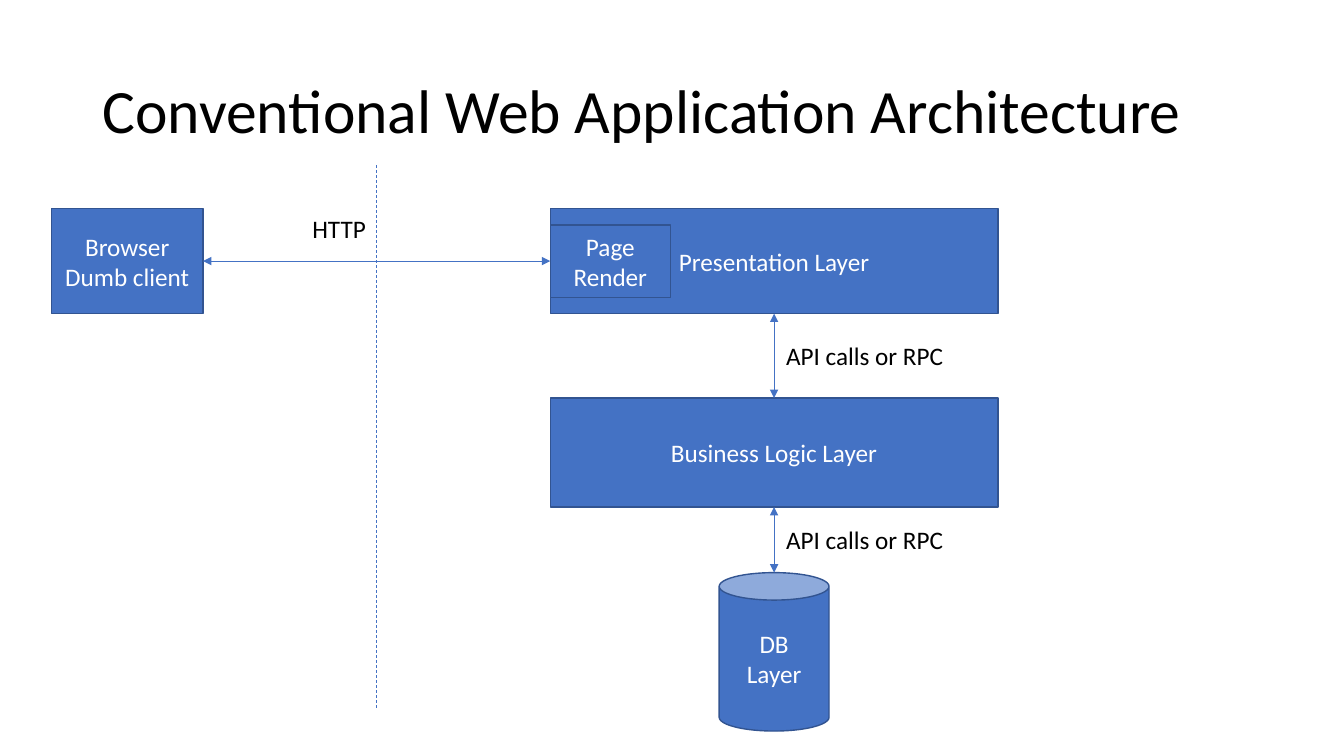
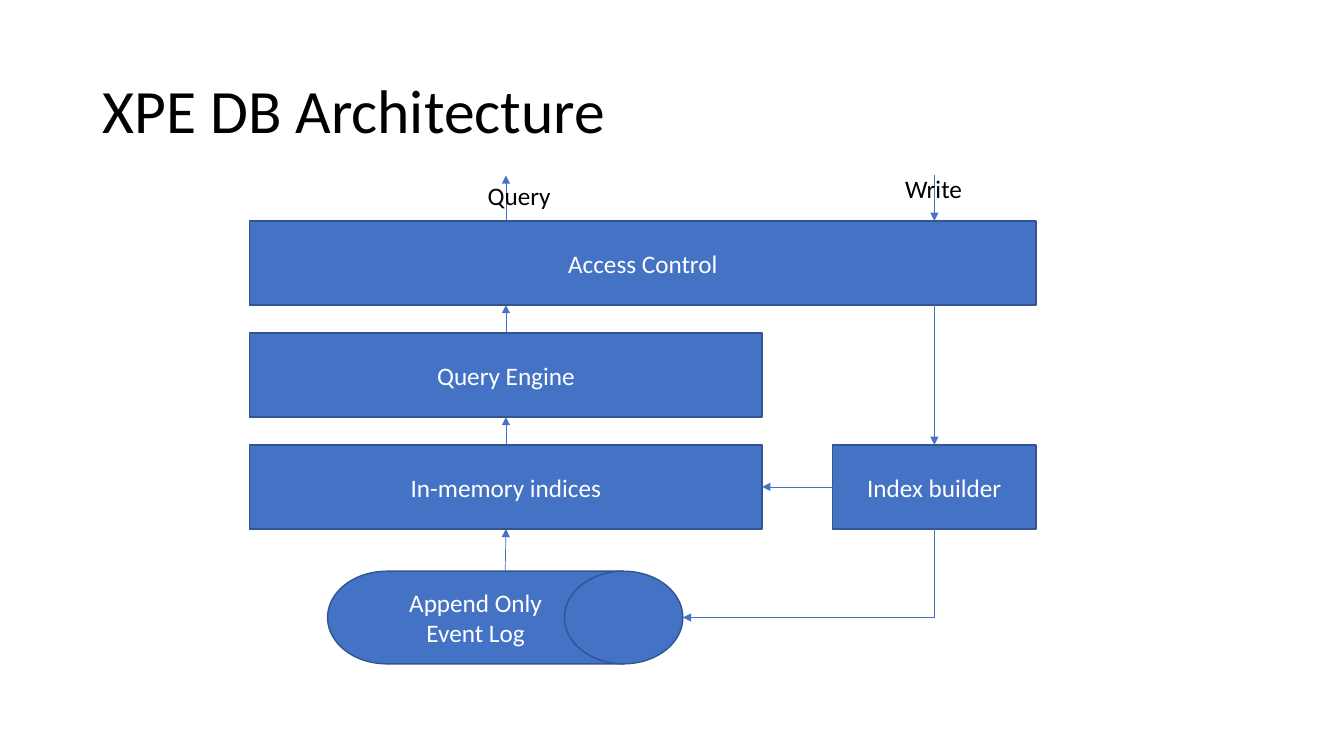
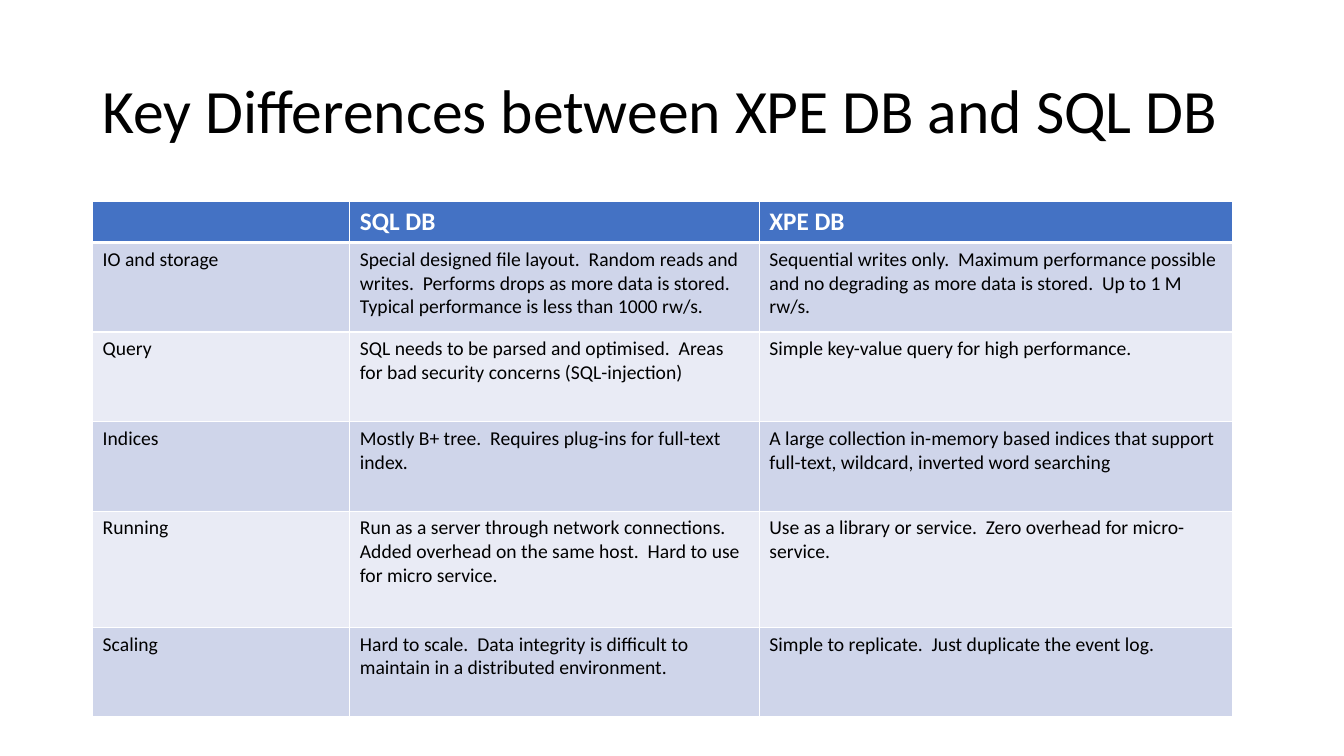
"""Build three slides on web application and XPE DB architecture."""
from dataclasses import dataclass
from typing import Any, NamedTuple

from lxml import etree
from pptx import Presentation
from pptx.dml.color import RGBColor
from pptx.enum.dml import MSO_LINE
from pptx.enum.shapes import MSO_CONNECTOR, MSO_SHAPE
from pptx.enum.text import MSO_ANCHOR, MSO_AUTO_SIZE, PP_ALIGN
from pptx.oxml.ns import qn
from pptx.util import Pt

RECTANGLE = MSO_SHAPE.RECTANGLE
CAN = MSO_SHAPE.CAN
DRUM = MSO_SHAPE.FLOWCHART_DIRECT_ACCESS_STORAGE
STRAIGHT = MSO_CONNECTOR.STRAIGHT
ELBOW = MSO_CONNECTOR.ELBOW
DASH = MSO_LINE.DASH
MIDDLE = MSO_ANCHOR.MIDDLE
LEFT = PP_ALIGN.LEFT
CENTER = PP_ALIGN.CENTER
FIT_TEXT = MSO_AUTO_SIZE.SHAPE_TO_FIT_TEXT
NO_FIT = MSO_AUTO_SIZE.NONE
TOP_SIDE, LEFT_SIDE, BOTTOM_SIDE, RIGHT_SIDE = range(4)
TITLE_ONLY = 5


@dataclass(frozen=True)
class Theme:
    """Colours, type sizes and line widths of the deck."""
    font: str = "Calibri"
    ink: str = "000000"
    paper: str = "FFFFFF"
    accent: str = "4472C4"
    outline: str = "325491"
    bands: tuple = ("CFD5EA", "E9EBF5")
    title_size: float = 44
    body_size: float = 18
    cell_size: float = 14
    box_line: float = 1
    link_line: float = 0.5
    cell_line: float = 1
    header_line: float = 3


THEME = Theme()


class End(NamedTuple):
    """End of a connector, joined to a box if one is given."""
    x: float
    y: float
    box: Any = None
    site: int = 0


def side(box, site):
    """Return the connector end at the middle of a side of a box."""
    left, top, width, height = (
        length.pt for length in (box.left, box.top, box.width, box.height))
    across, down = ((0.5, 0), (0, 0.5), (0.5, 1), (1, 0.5))[site]
    return End(left + across * width, top + down * height, box, site)


def style_text(frame, size, color, align=LEFT, bold=False):
    """Format every paragraph of a text frame."""
    for para in frame.paragraphs:
        para.alignment = align
        for span in para.runs:
            span.font.name = THEME.font
            span.font.size = Pt(size)
            span.font.bold = bold
            span.font.color.rgb = RGBColor.from_string(color)


def add_page(deck, title):
    """Add a slide with the shared title style."""
    page = deck.slides.add_slide(deck.slide_layouts[TITLE_ONLY])
    holder = page.shapes.title
    holder.left, holder.top = Pt(66), Pt(28.75)
    holder.width, holder.height = Pt(828), Pt(104.4)
    frame = holder.text_frame
    frame.text = title
    frame.word_wrap = True
    frame.auto_size = NO_FIT
    frame.vertical_anchor = MIDDLE
    frame.paragraphs[0].line_spacing = 0.9
    style_text(frame, THEME.title_size, THEME.ink)
    return page


def add_box(page, text, left, top, width, height, kind=RECTANGLE):
    """Add a filled component with centred text."""
    box = page.shapes.add_shape(kind, Pt(left), Pt(top), Pt(width), Pt(height))
    box.shadow.inherit = False
    box.fill.solid()
    box.fill.fore_color.rgb = RGBColor.from_string(THEME.accent)
    box.line.color.rgb = RGBColor.from_string(THEME.outline)
    box.line.width = Pt(THEME.box_line)
    frame = box.text_frame
    frame.text = text
    frame.word_wrap = True
    frame.vertical_anchor = MIDDLE
    style_text(frame, THEME.body_size, THEME.paper, CENTER)
    return box


def add_label(page, text, left, top, width):
    """Add a one-line label that fits its text."""
    label = page.shapes.add_textbox(Pt(left), Pt(top), Pt(width), Pt(29.1))
    frame = label.text_frame
    frame.text = text
    frame.word_wrap = False
    frame.auto_size = FIT_TEXT
    style_text(frame, THEME.body_size, THEME.ink)


def style_link(link, heads, dash=None):
    """Give a connector its line, its arrowheads and no shadow."""
    link.line.color.rgb = RGBColor.from_string(THEME.accent)
    link.line.width = Pt(THEME.link_line)
    if dash:
        link.line.dash_style = dash
    properties = link.element.spPr
    line = properties.find(qn("a:ln"))
    for head in heads:
        etree.SubElement(line, qn(f"a:{head}"), type="triangle")
    etree.SubElement(properties, qn("a:effectLst"))


def add_link(page, start, end, heads=("tailEnd",), dash=None):
    """Add a straight connector between two ends."""
    link = page.shapes.add_connector(
        STRAIGHT, Pt(start.x), Pt(start.y), Pt(end.x), Pt(end.y))
    if start.box is not None:
        link.begin_connect(start.box, start.site)
    if end.box is not None:
        link.end_connect(end.box, end.site)
    style_link(link, heads, dash)


def add_corner_link(page, start, end):
    """Add an arrow that runs down from its start, then left to its end."""
    drop, run = end.y - start.y, start.x - end.x
    left = (start.x + end.x - drop) / 2
    top = (start.y + end.y - run) / 2
    link = page.shapes.add_connector(
        ELBOW, Pt(left), Pt(top), Pt(left + drop), Pt(top + run))
    properties = link.element.spPr
    properties.find(qn("a:xfrm")).set("rot", "5400000")
    properties.find(qn("a:prstGeom")).set("prst", "bentConnector2")
    style_link(link, ("tailEnd",))


def style_cell(cell, fill, bottom_line):
    """Set the borders and the fill of a table cell."""
    properties = cell._tc.get_or_add_tcPr()
    for edge in "LRTB":
        width = bottom_line if edge == "B" else THEME.cell_line
        line = etree.SubElement(properties, qn(f"a:ln{edge}"), w=str(Pt(width)))
        solid = etree.SubElement(line, qn("a:solidFill"))
        etree.SubElement(solid, qn("a:srgbClr"), val=THEME.paper)
    cell.fill.solid()
    cell.fill.fore_color.rgb = RGBColor.from_string(fill)


def add_grid(page, rows, left, top, widths, heights):
    """Add a table with a header row and banded body rows."""
    grid = page.shapes.add_table(
        len(rows), len(widths), Pt(left), Pt(top),
        Pt(sum(widths)), Pt(sum(heights))).table
    for column, width in zip(grid.columns, widths):
        column.width = Pt(width)
    for index, (row, height, texts) in enumerate(zip(grid.rows, heights, rows)):
        row.height = Pt(height)
        header = index == 0
        fill = THEME.accent if header else THEME.bands[(index - 1) % 2]
        bottom = THEME.header_line if header else THEME.cell_line
        size = THEME.body_size if header else THEME.cell_size
        color = THEME.paper if header else THEME.ink
        for cell, text in zip(row.cells, texts):
            style_cell(cell, fill, bottom)
            if text:
                cell.text_frame.text = text
                style_text(cell.text_frame, size, color, bold=header)


def build_web_page(deck):
    """Build the conventional web architecture slide."""
    page = add_page(deck, "Conventional Web Application Architecture")
    both = ("headEnd", "tailEnd")
    layer_left, layer_width, top, height = 393.1, 319.7, 149, 75
    browser = add_box(page, "Browser\nDumb client", 36.7, top, 108.3, height)
    presentation = add_box(
        page, "Presentation Layer", layer_left, top, layer_width, height)
    render = add_box(page, "Page\nRender", layer_left, 160.6, 85.7, 51.8)
    business = add_box(
        page, "Business Logic Layer", layer_left, 284.3, layer_width, 77.8)
    database = add_box(page, "DB\nLayer", 513.7, 409, 78.5, 113.2, CAN)
    add_link(page, side(browser, RIGHT_SIDE), side(render, LEFT_SIDE), both)
    add_link(page, side(presentation, BOTTOM_SIDE),
             side(business, TOP_SIDE), both)
    add_link(page, side(business, BOTTOM_SIDE),
             side(database, TOP_SIDE)._replace(box=None), both)
    add_link(page, End(269.2, 118), End(269.2, 507), (), DASH)
    add_label(page, "HTTP", 216, top, 53.3)
    for label_top in (239.8, 371):
        add_label(page, "API calls or RPC", 554.4, label_top, 128.2)


def build_database_page(deck):
    """Build the XPE DB architecture slide."""
    page = add_page(deck, "XPE DB Architecture")
    left, height, arrow_top = 178.4, 60, 125.3
    tops = [157.8 + 80 * row for row in range(3)]
    access = add_box(page, "Access Control", left, tops[0], 561.6, height)
    engine = add_box(page, "Query Engine", left, tops[1], 366, height)
    indices = add_box(page, "In-memory indices", left, tops[2], 366, height)
    builder = add_box(page, "Index builder", 594.8, tops[2], 145.2, height)
    log = add_box(
        page, "Append Only Event Log", 234, 408, 253.8, 66.2, DRUM)
    query_x = side(engine, TOP_SIDE).x
    write_x = side(builder, TOP_SIDE).x
    access_bottom = side(access, BOTTOM_SIDE).y
    add_link(page, End(write_x, access_bottom), side(builder, TOP_SIDE))
    add_link(page, side(builder, LEFT_SIDE), side(indices, RIGHT_SIDE))
    add_corner_link(page, side(builder, BOTTOM_SIDE), side(log, RIGHT_SIDE))
    add_link(page, side(log, TOP_SIDE)._replace(box=None),
             side(indices, BOTTOM_SIDE))
    add_link(page, side(indices, TOP_SIDE), side(engine, BOTTOM_SIDE))
    add_link(page, side(engine, TOP_SIDE), End(query_x, access_bottom))
    add_link(page, End(query_x, tops[0]), End(query_x, arrow_top))
    add_link(page, End(write_x, arrow_top), End(write_x, tops[0]))
    add_label(page, "Query", 341.3, arrow_top, 59.8)
    add_label(page, "Write", 639.4, 120.2, 55.4)


def build_comparison_page(deck):
    """Build the slide that compares the two databases."""
    page = add_page(deck, "Key Differences between XPE DB and SQL DB")
    rows = (
        ("", "SQL DB", "XPE DB"),
        ("IO and storage",
         "Special designed file layout.  Random reads and writes.  Performs "
         "drops as more data is stored.  Typical performance is less than "
         "1000 rw/s.",
         "Sequential writes only.  Maximum performance possible and no "
         "degrading as more data is stored.  Up to 1 M rw/s."),
        ("Query",
         "SQL needs to be parsed and optimised.  Areas for bad security "
         "concerns (SQL-injection)",
         "Simple key-value query for high performance."),
        ("Indices",
         "Mostly B+ tree.  Requires plug-ins for full-text index.",
         "A large collection in-memory based indices that support full-text, "
         "wildcard, inverted word searching"),
        ("Running",
         "Run as a server through network connections.  Added overhead on the "
         "same host.  Hard to use for micro service.",
         "Use as a library or service.  Zero overhead for micro-service."),
        ("Scaling",
         "Hard to scale.  Data integrity is difficult to maintain in a "
         "distributed environment.",
         "Simple to replicate.  Just duplicate the event log."),
    )
    add_grid(page, rows, 66.2, 144, (183.7, 292.5, 338),
             (28.5, 64, 64, 64, 83, 64))


def main():
    """Build and save the deck."""
    deck = Presentation()
    deck.slide_width, deck.slide_height = Pt(960), Pt(540)
    build_web_page(deck)
    build_database_page(deck)
    build_comparison_page(deck)
    deck.save("out.pptx")


if __name__ == "__main__":
    main()
